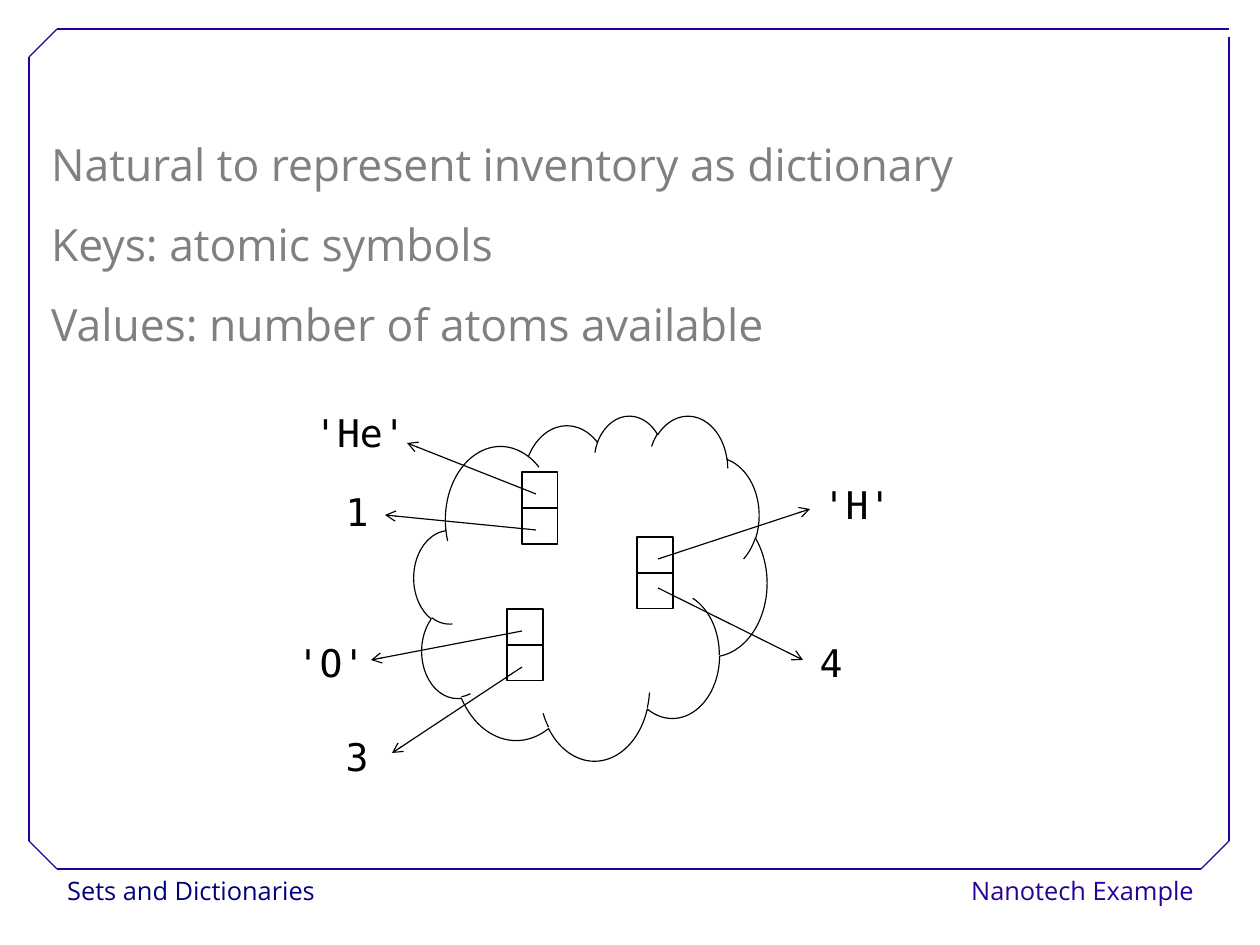
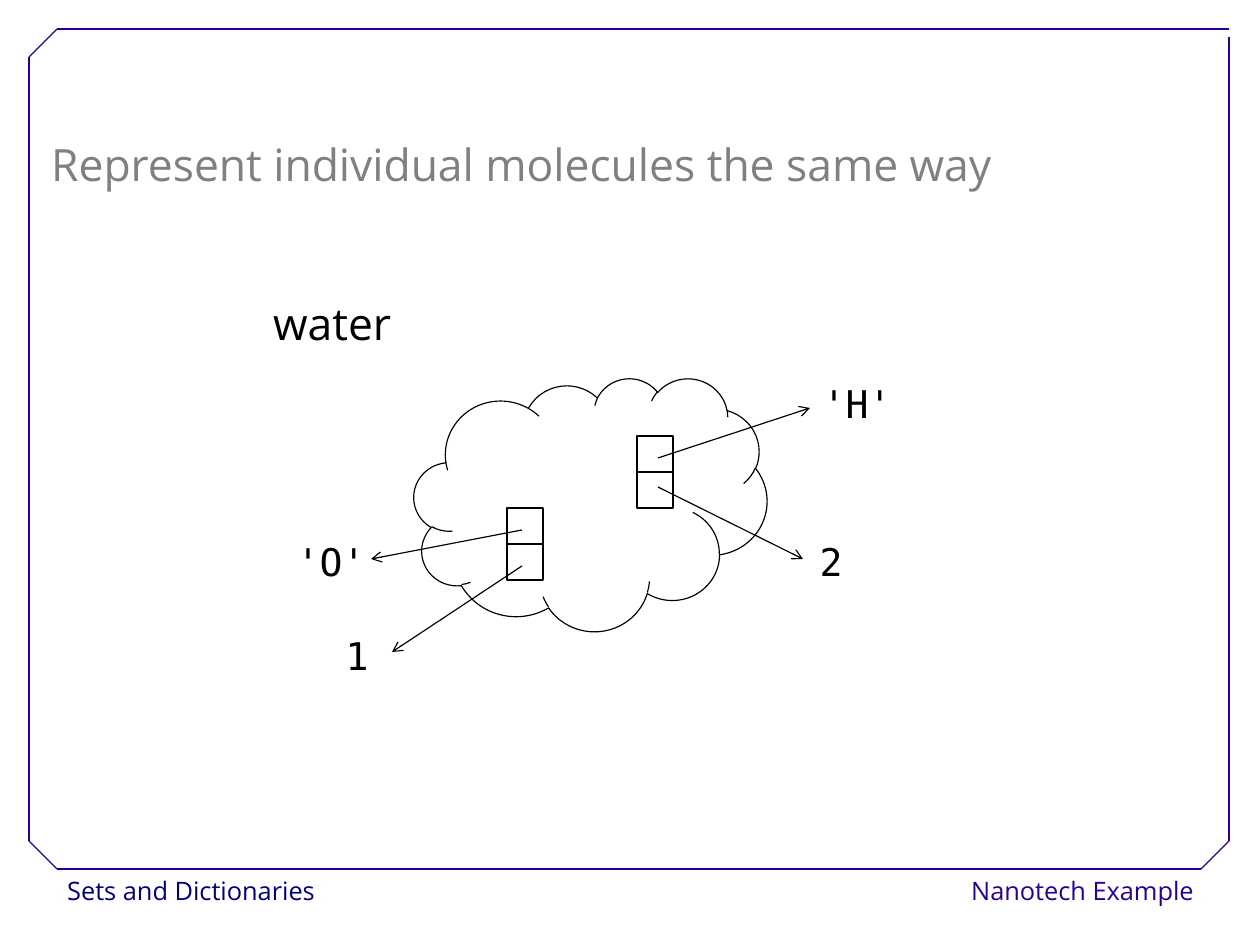
from dataclasses import dataclass

from pptx import Presentation
from pptx.dml.color import RGBColor
from pptx.enum.shapes import MSO_CONNECTOR, MSO_SHAPE
from pptx.enum.text import MSO_ANCHOR, PP_ALIGN
from pptx.oxml.ns import qn
from pptx.util import Emu, Pt
from lxml.etree import SubElement

EMU_PER_PX = 8000
SLIDE_W, SLIDE_H = 1260, 945
CELL = 36
COLORS = {
    "frame": "280099",
    "course": "000080",
    "body": "808080",
    "ink": "000000",
}
SANS, MONO = "Open Sans", "DejaVu Sans Mono"


@dataclass
class Link:
    """Arrow and label of one cell, relative to the top left of its cell pair."""
    start: tuple
    tip: tuple
    label_center: int
    label_top: int


@dataclass
class Slot:
    """A key cell above a value cell, with the link of each."""
    left: int
    top: int
    key: Link
    value: Link


SLOTS = {
    "'He'": Slot(522, 472, Link((14, 22), (-115, -29), -162, -64),
                 Link((14, 58), (-137, 43), -165, 15)),
    "'O'": Slot(507, 609, Link((15, 22), (-136, 51), -176, 29),
                Link((15, 58), (-115, 144), -150, 123)),
    "'H'": Slot(637, 537, Link((21, 22), (173, -28), 220, -57),
                Link((21, 51), (166, 123), 194, 101)),
}


def px(*lengths):
    return [Emu(length * EMU_PER_PX) for length in lengths]


def rgb(color):
    return RGBColor.from_string(COLORS[color])


def add_text(slide, box, lines, size, color, font=SANS, spacing=1.0, align=PP_ALIGN.LEFT):
    frame = slide.shapes.add_textbox(*px(*box)).text_frame
    frame.word_wrap = True
    frame.vertical_anchor = MSO_ANCHOR.TOP
    frame.text = "\n".join(lines)
    for paragraph in frame.paragraphs:
        paragraph.alignment = align
        paragraph.line_spacing = spacing
        for run in paragraph.runs:
            run.font.name = font
            run.font.size = Pt(size)
            run.font.color.rgb = rgb(color)


def add_body(slide, left, top, lines, color="body"):
    add_text(slide, (left, top, 1100, 11 + 80 * len(lines)), lines, 28, color, spacing=1.5)


def add_line(slide, start, end, color, arrow=False):
    line = slide.shapes.add_connector(MSO_CONNECTOR.STRAIGHT, *px(*start, *end))
    line.line.color.rgb = rgb(color)
    line.line.width = Pt(0.75)
    properties = line.element.spPr
    if arrow:
        SubElement(properties.find(qn("a:ln")), qn("a:tailEnd"), type="arrow")
    SubElement(properties, qn("a:effectLst"))


def add_outline(slide, preset, *box):
    shape = slide.shapes.add_shape(preset, *px(*box))
    shape.shadow.inherit = False
    shape.fill.background()
    shape.line.color.rgb = rgb("ink")
    shape.line.width = Pt(0.75)


def add_frame(slide):
    left, top, right, bottom, cut = 29, 29, 1229, 869, 28
    edges = [
        ((left + cut, bottom), (right - cut, bottom)),
        ((left, bottom - cut), (left, top + cut)),
        ((left + cut, top), (right, top)),
        ((right, bottom - cut), (right, top + 8)),
        ((left, top + cut), (left + cut, top)),
        ((right - cut, bottom), (right, bottom - cut)),
        ((left, bottom - cut), (left + cut, bottom)),
    ]
    for start, end in edges:
        add_line(slide, start, end, "frame")


def add_footers(slide):
    add_text(slide, (56, 869, 300, 46), ["Sets and Dictionaries"], 16, "course", spacing=1.02)
    add_text(slide, (905, 869, 300, 46), ["Nanotech Example"], 16, "frame", spacing=1.02,
             align=PP_ALIGN.RIGHT)


def share_with_layout(slide):
    """Move what is on the slide to its layout, so that every slide shows it."""
    layout = slide.slide_layout
    for placeholder in list(layout.placeholders):
        layout.shapes.element.remove(placeholder.element)
    for shape in list(slide.shapes):
        layout.shapes.element.append(shape.element)


def add_dictionary(slide, cloud_top, cloud_height, entries, rise=0):
    """Draw a cloud of key and value cells, with the slots raised by rise."""
    add_outline(slide, MSO_SHAPE.CLOUD, 414, cloud_top, 353, cloud_height)
    for symbol, count in entries.items():
        slot = SLOTS[symbol]
        left, top = slot.left, slot.top - rise
        for row in range(2):
            add_outline(slide, MSO_SHAPE.RECTANGLE, left, top + row * CELL, CELL, CELL)
        for link, label in ((slot.key, symbol), (slot.value, str(count))):
            start, tip = ((left + x, top + y) for x, y in (link.start, link.tip))
            add_line(slide, start, tip, "ink", arrow=True)
            add_text(slide, (left + link.label_center - 60, top + link.label_top, 120, 50),
                     [label], 24, "ink", MONO, 0.93, PP_ALIGN.CENTER)


def main():
    deck = Presentation()
    deck.slide_width, deck.slide_height = px(SLIDE_W, SLIDE_H)
    blank = deck.slide_layouts[6]

    inventory = deck.slides.add_slide(blank)
    add_footers(inventory)
    add_frame(inventory)
    share_with_layout(inventory)
    add_body(inventory, 40, 105, [
        "Natural to represent inventory as dictionary",
        "Keys: atomic symbols",
        "Values: number of atoms available",
    ])
    add_dictionary(inventory, 415, 345, {"'He'": 1, "'O'": 3, "'H'": 4})

    molecule = deck.slides.add_slide(blank)
    add_body(molecule, 40, 105, ["Represent individual molecules the same way"])
    add_body(molecule, 262, 264, ["water"], "ink")
    add_dictionary(molecule, 378, 253, {"'O'": 1, "'H'": 2}, rise=101)

    deck.save("out.pptx")


if __name__ == "__main__":
    main()
